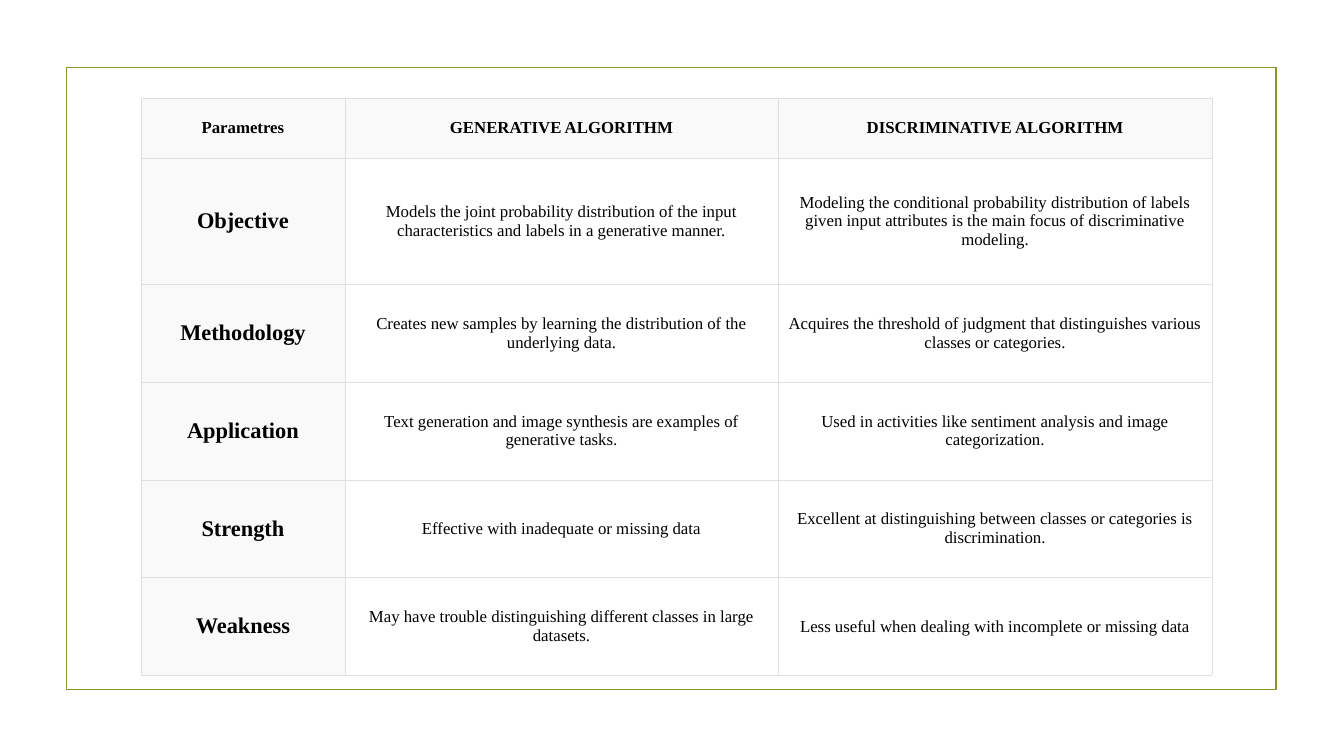
from lxml import etree
from pptx import Presentation
from pptx.dml.color import RGBColor
from pptx.enum import shapes, text
from pptx.oxml import ns
from pptx.util import Inches, Pt

FONT = "Times New Roman"
OLIVE = RGBColor(0x83, 0x99, 0x2A)
BLACK = RGBColor(0x00, 0x00, 0x00)
WHITE = RGBColor(0xFF, 0xFF, 0xFF)
HEADING_GREY = RGBColor(0xF9, 0xF9, 0xF9)
BORDER_GREY = RGBColor(0xDF, 0xDF, 0xDF)

COLUMN_WIDTHS = [2.02, 4.3, 4.3]
ROW_HEIGHTS = [0.6, 1.25] + [0.97] * 4

COMPARISON = [
    ("Parametres", "GENERATIVE ALGORITHM", "DISCRIMINATIVE ALGORITHM"),
    ("Objective",
     "Models the joint probability distribution of the input "
     "characteristics and labels in a generative manner.",
     "Modeling the conditional probability distribution of labels given "
     "input attributes is the main focus of discriminative modeling."),
    ("Methodology",
     "Creates new samples by learning the distribution of the underlying data.",
     "Acquires the threshold of judgment that distinguishes various "
     "classes or categories."),
    ("Application",
     "Text generation and image synthesis are examples of generative tasks.",
     "Used in activities like sentiment analysis and image categorization."),
    ("Strength",
     "Effective with inadequate or missing data",
     "Excellent at distinguishing between classes or categories is "
     "discrimination."),
    ("Weakness",
     "May have trouble distinguishing different classes in large datasets.",
     "Less useful when dealing with incomplete or missing data"),
]


def add_frame(page):
    frame = page.shapes.add_shape(
        shapes.MSO_SHAPE.RECTANGLE,
        Inches(0.66), Inches(0.67), Inches(12), Inches(6.17))
    frame.shadow.inherit = False
    frame.fill.background()
    frame.line.color.rgb = OLIVE
    frame.line.width = Pt(1.25)


def set_borders(cell):
    """Draw a hairline on all four sides; borders must precede the cell fill."""
    properties = cell._tc.get_or_add_tcPr()
    for index, side in enumerate(("lnL", "lnR", "lnT", "lnB")):
        line = etree.Element(ns.qn(f"a:{side}"), w=str(Pt(0.23)))
        fill = etree.SubElement(line, ns.qn("a:solidFill"))
        etree.SubElement(fill, ns.qn("a:srgbClr"), val=str(BORDER_GREY))
        properties.insert(index, line)


def fill_cell(cell, words, is_header, is_label):
    is_heading = is_header or is_label
    cell.fill.solid()
    cell.fill.fore_color.rgb = HEADING_GREY if is_heading else WHITE
    set_borders(cell)
    cell.vertical_anchor = text.MSO_ANCHOR.MIDDLE
    side_margin = 0.04 if is_label else 0.09
    end_margin = 0.09 if is_header else 0.06 if is_label else 0.13
    cell.margin_left = cell.margin_right = Inches(side_margin)
    cell.margin_top = cell.margin_bottom = Inches(end_margin)

    para = cell.text_frame.paragraphs[0]
    para.text = words
    para.alignment = text.PP_ALIGN.CENTER
    font = para.runs[0].font
    font.name = FONT
    font.size = Pt(16 if is_label and not is_header else 12)
    font.bold = is_heading
    font.color.rgb = BLACK


def add_comparison_table(page):
    table = page.shapes.add_table(
        len(ROW_HEIGHTS), len(COLUMN_WIDTHS), Inches(1.4), Inches(0.97),
        Inches(sum(COLUMN_WIDTHS)), Inches(sum(ROW_HEIGHTS))).table
    for column, width in zip(table.columns, COLUMN_WIDTHS):
        column.width = Inches(width)
    for row, height in zip(table.rows, ROW_HEIGHTS):
        row.height = Inches(height)
    for r, entries in enumerate(COMPARISON):
        for c, words in enumerate(entries):
            fill_cell(table.cell(r, c), words, is_header=r == 0, is_label=c == 0)


def main():
    deck = Presentation()
    deck.slide_width = Inches(13.33)
    deck.slide_height = Inches(7.5)
    page = deck.slides.add_slide(deck.slide_layouts[6])
    add_frame(page)
    add_comparison_table(page)
    deck.save("out.pptx")


if __name__ == "__main__":
    main()
